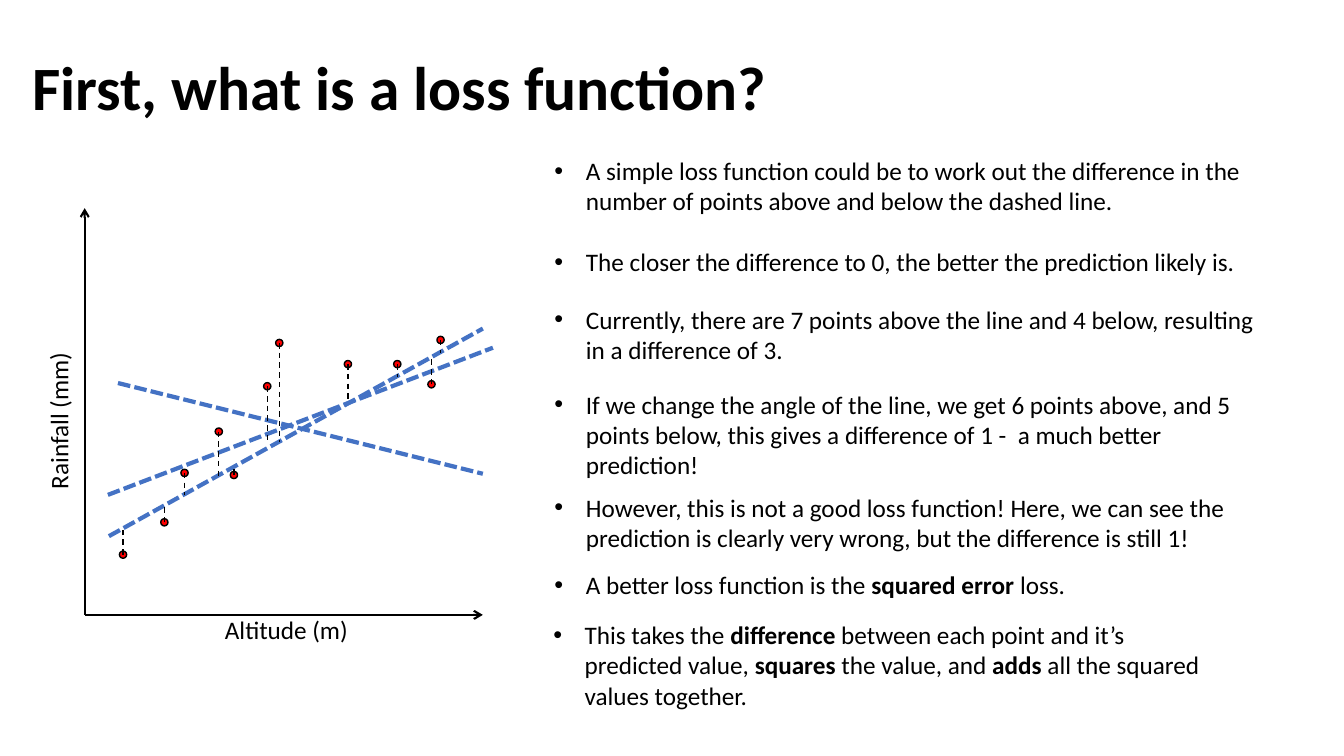
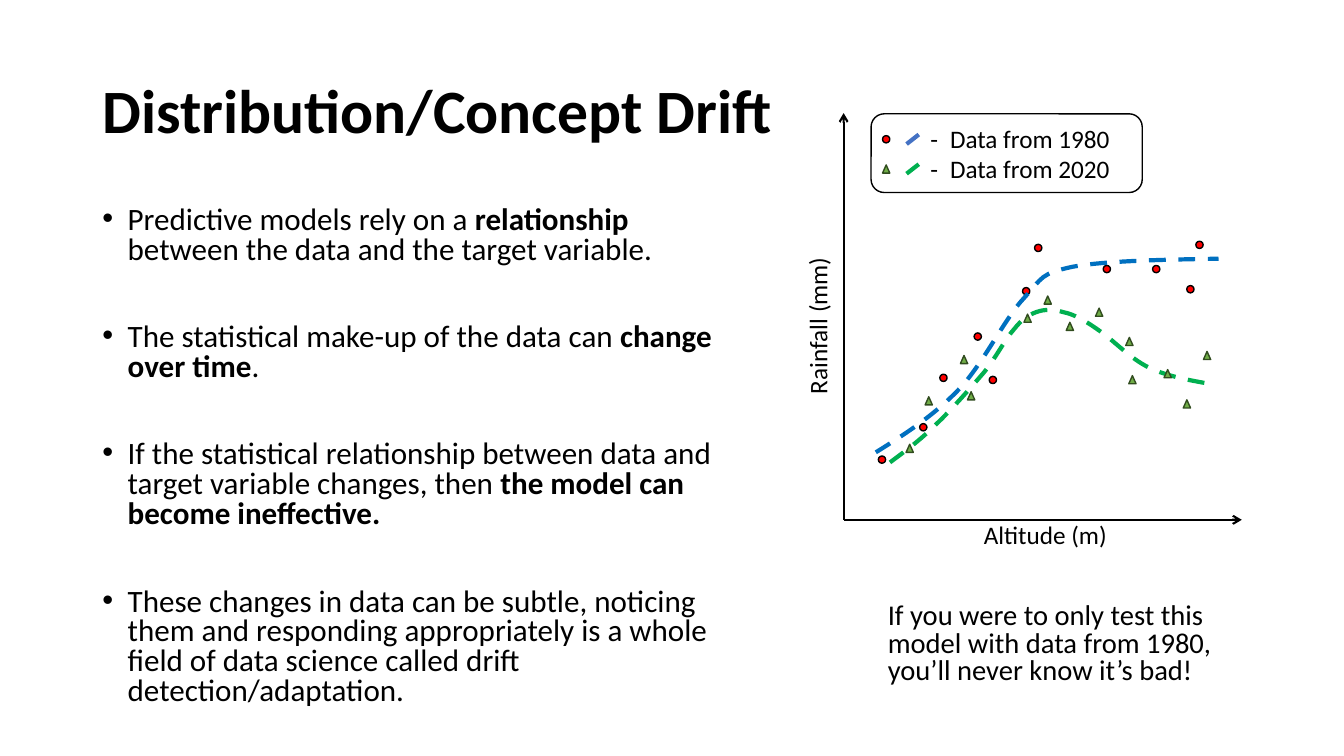
from dataclasses import dataclass

from pptx import Presentation
from pptx.dml.color import RGBColor
from pptx.enum.dml import MSO_LINE
from pptx.enum.shapes import MSO_CONNECTOR, MSO_SHAPE
from pptx.enum.text import MSO_ANCHOR, MSO_AUTO_SIZE, PP_ALIGN
from pptx.oxml.ns import qn
from pptx.util import Pt

LEFT, CENTER = PP_ALIGN.LEFT, PP_ALIGN.CENTER
MIDDLE, TOP = MSO_ANCHOR.MIDDLE, MSO_ANCHOR.TOP
FIXED, GROW = MSO_AUTO_SIZE.NONE, MSO_AUTO_SIZE.SHAPE_TO_FIT_TEXT
DASH, SHORT = MSO_LINE.DASH, MSO_LINE.SQUARE_DOT
STRAIGHT = MSO_CONNECTOR.STRAIGHT
OVAL, WEDGE = MSO_SHAPE.OVAL, MSO_SHAPE.ISOSCELES_TRIANGLE
ROUNDED = MSO_SHAPE.ROUNDED_RECTANGLE


@dataclass(frozen=True)
class Theme:
    """Colours, font and type sizes of the deck."""
    font: str = "Calibri"
    ink: str = "000000"
    red: str = "FF0000"
    blue: str = "4472C4"
    azure: str = "0070C0"
    green: str = "00B050"
    leaf: str = "70AD47"
    moss: str = "314C1F"
    title: float = 44
    list: float = 22.2
    note: float = 20.4
    text: float = 18


THEME = Theme()

DOTS = [(71.3, 101.4), (106.6, 99.9), (139, 194.2), (27.4, 43),
        (188, 179.1), (223.3, 179.1), (56.9, 66.1), (95.8, 130.9),
        (130.4, 163.3), (247.7, 164.7), (254.2, 196.4)]
FEET = [85.7, 105.1, 123.8, 61.9, 152.6, 169.9, 77.8, 97.9, 122.4, 182.9, 187.2]
FITS = [((17.3, 56.2), (284.4, 204.5)), ((16.6, 85.7), (291.6, 190.8)),
        ((23.8, 165.6), (284.4, 100.8))]
WEDGES = [(86, 114.5), (91.1, 88.6), (161.6, 138.2), (145.8, 157), (131.4, 144),
          (47.2, 51.1), (60.8, 85), (245.2, 82.8), (231.5, 104.4),
          (204.1, 127.4), (206.3, 100.1), (182.5, 148.3), (259.6, 117.4)]
OLD = [(23, 48.2), (43.9, 61.2), (64.1, 74.2), (82.1, 92.9),
       (99.4, 110.9), (115.2, 144), (128.9, 158.4),
       (142.6, 173.5), (140.4, 175.7), (163.4, 180.7),
       (187.2, 185), (227.5, 185.8), (267.8, 186.5)]
NEW = [(33.1, 41), (43.9, 49), (54.7, 56.9), (65.5, 67.7),
       (77, 78.5), (90.7, 94.3), (100.1, 105.1),
       (109.4, 116.6), (115.2, 128.9), (121.7, 136.1),
       (127.4, 143.3), (131.8, 146.2), (137.5, 148.3),
       (143.3, 150.5), (149.8, 150.5), (157, 148.3),
       (164.2, 146.9), (172.1, 142.6), (182.2, 135.4),
       (192.2, 128.9), (204.5, 115.2), (218.2, 108.7),
       (231.8, 102.2), (248.4, 99.4), (265, 96.5)]

LOSS = [
    "A simple loss function could be to work out the difference in the number of "
    "points above and below the dashed line.",
    "The closer the difference to 0, the better the prediction likely is.",
    "Currently, there are 7 points above the line and 4 below, resulting in a "
    "difference of 3.",
    "If we change the angle of the line, we get 6 points above, and 5 points below, "
    "this gives a difference of 1 -  a much better prediction!",
    "However, this is not a good loss function! Here, we can see the prediction is "
    "clearly very wrong, but the difference is still 1!",
    "A better loss function is the *squared error *loss.",
]
SQUARE = ["This takes the *difference* between each point and it’s predicted value, "
          "*squares* the value, and *adds* all the squared values together."]
DRIFT = [
    "Predictive models rely on a *relationship* between the data and the target "
    "variable.",
    "The statistical make-up of the data can *change over time*.",
    "If the statistical relationship between data and target variable changes, then "
    "*the model can become ineffective.*",
    "These changes in data can be subtle, noticing them and responding appropriately "
    "is a whole field of data science called drift detection/adaptation.",
]
NOTE = ("If you were to only test this model with data from 1980, "
        "you’ll never know it’s bad!")


def color(code):
    """Turn a hex code into a colour."""
    return RGBColor.from_string(code)


def place(shape, box):
    """Move a shape to a box given in points."""
    shape.left, shape.top, shape.width, shape.height = map(Pt, box)


def style(para, size, bold=False):
    """Give every run of a paragraph the deck's type."""
    for run in para.runs:
        font = run.font
        font.name, font.size, font.bold = THEME.font, Pt(size), bold
        font.color.rgb = color(THEME.ink)


def hang(para, left, first):
    """Set the left margin and first-line indent of a paragraph."""
    props = para._p.get_or_add_pPr()
    props.set("marL", str(Pt(left)))
    props.set("indent", str(Pt(first)))


def stroke(line, code, width, dash=None):
    """Set the colour, width and dash of a line."""
    line.color.rgb = color(code)
    line.width = Pt(width)
    if dash:
        line.dash_style = dash


def head(slide, text, box):
    """Fill the title placeholder."""
    shape = slide.shapes.title
    place(shape, box)
    frame = shape.text_frame
    frame.text = text
    frame.vertical_anchor, frame.auto_size = MIDDLE, FIXED
    para = frame.paragraphs[0]
    para.alignment, para.line_spacing = LEFT, 0.9
    style(para, THEME.title, True)


def bullets(shape, box, lines, size, indent, gaps, pitch=1.0):
    """Fill a body placeholder; text between stars is bold."""
    place(shape, box)
    frame = shape.text_frame
    frame.vertical_anchor, frame.auto_size = TOP, FIXED
    for i, (line, gap) in enumerate(zip(lines, gaps)):
        para = frame.add_paragraph() if i else frame.paragraphs[0]
        hang(para, indent, -indent)
        para.line_spacing, para.space_before = pitch, Pt(gap)
        para.space_after = Pt(0)
        parts = line.split("*")
        for part in filter(None, parts):
            para.add_run().text = part
        style(para, size)
        bold = [n % 2 == 1 for n, part in enumerate(parts) if part]
        for run, flag in zip(para.runs, bold):
            run.font.bold = flag


def label(shapes, box, text, size, turn=0, wrap=False, pitch=1.0):
    """Add a text box with one paragraph."""
    shape = shapes.add_textbox(*map(Pt, box))
    shape.rotation = turn
    frame = shape.text_frame
    frame.text = text
    frame.word_wrap, frame.auto_size = wrap, FIXED if wrap else GROW
    para = frame.paragraphs[0]
    para.line_spacing = pitch
    style(para, size)
    return shape


def bend(shape):
    """Turn each three segments of a freeform into one cubic curve."""
    route = next(shape._element.iter(qn("a:path")))
    sides = route.findall(qn("a:lnTo"))
    for i in range(0, len(sides), 3):
        arc = route.makeelement(qn("a:cubicBezTo"), {})
        sides[i].addprevious(arc)
        for side in sides[i:i + 3]:
            arc.append(side[0])
            route.remove(side)


class Plot:
    """Rainfall plot in a box, measured up and right from its corner."""

    def __init__(self, shapes, box):
        """Draw axes and their labels."""
        self.shapes = shapes
        self.left, top, wide, high = box
        self.base = top + high
        for end in ((wide, 0), (0, high)):
            self.line((0, 0), end, THEME.ink, 1.5, arrow=True)
        self.name("Altitude (m)", (144.1, -10.3), 103.7)
        self.name("Rainfall (mm)", (-18.7, 138.6), 113, 270)

    def spot(self, point):
        """Turn a plot point into slide lengths."""
        return Pt(self.left + point[0]), Pt(self.base - point[1])

    def name(self, text, mid, wide, turn=0):
        """Label an axis around a middle point."""
        high = 28.8
        box = (self.left + mid[0] - wide / 2, self.base - mid[1] - high / 2, wide, high)
        shape = label(self.shapes, box, text, THEME.text, turn)
        shape.text_frame.paragraphs[0].alignment = CENTER

    def line(self, start, end, code, width, dash=None, arrow=False):
        """Draw a straight line between two plot points."""
        link = self.shapes.add_connector(STRAIGHT, *self.spot(start), *self.spot(end))
        stroke(link.line, code, width, dash)
        if arrow:
            edge = link.line._get_or_add_ln()
            edge.append(edge.makeelement(qn("a:tailEnd"), {"type": "arrow"}))
        props = link._element.spPr
        props.append(props.makeelement(qn("a:effectLst"), {}))

    def mark(self, kind, point, fill, edge):
        """Draw a small data mark."""
        wide, high = 5.2, 5.2 if kind == OVAL else 5.8
        x, y = self.spot(point)
        shape = self.shapes.add_shape(
            kind, x - Pt(wide / 2), y - Pt(high / 2), Pt(wide), Pt(high))
        shape.shadow.inherit = False
        shape.fill.solid()
        shape.fill.fore_color.rgb = color(fill)
        stroke(shape.line, edge, 1)

    def dot(self, point):
        """Mark a reading from 1980."""
        self.mark(OVAL, point, THEME.red, THEME.ink)

    def wedge(self, point):
        """Mark a reading from 2020."""
        self.mark(WEDGE, point, THEME.leaf, THEME.moss)

    def curve(self, knots, code):
        """Draw a dashed curve."""
        first, *rest = map(self.spot, knots)
        pen = self.shapes.build_freeform(*first, scale=1.0)
        pen.add_line_segments(rest, close=False)
        shape = pen.convert_to_shape()
        bend(shape)
        shape.shadow.inherit = False
        shape.fill.background()
        stroke(shape.line, code, 3, DASH)

    def legend(self):
        """Draw the key to both years."""
        shape = self.shapes.add_shape(
            ROUNDED, *self.spot((19.6, 290)), Pt(193.7), Pt(56.2))
        shape.shadow.inherit = False
        shape.fill.background()
        stroke(shape.line, THEME.ink, 1)
        frame = shape.text_frame
        frame.text = "-\tData from 1980\n-\tData from 2020"
        frame.vertical_anchor = MIDDLE
        for para in frame.paragraphs:
            para.alignment = LEFT
            hang(para, 46.6, -14)
            style(para, THEME.text)
        rows = ((self.dot, THEME.blue), (self.wedge, THEME.green))
        for i, (draw, code) in enumerate(rows):
            y = 271.8 - 21.2 * i
            draw((30.4, y))
            self.line((45, y - 3.4), (53.7, y + 3.4), code, 3)


def loss(deck):
    """Build the loss function slide."""
    slide = deck.slides.add_slide(deck.slide_layouts[3])
    head(slide, "First, what is a loss function?", (15.8, 12.2, 828, 104.4))
    plot = Plot(slide.shapes, (60.5, 148.7, 284.4, 290.5))
    for point in DOTS:
        plot.dot(point)
    for start, end in FITS:
        plot.line(start, end, THEME.blue, 3, SHORT)
    for (x, y), foot in zip(DOTS, FEET):
        plot.line((x, y), (x, foot), THEME.ink, 1, DASH)
    main, last = list(slide.placeholders)[1:]
    bullets(main, (388.8, 107.3, 516.2, 326), LOSS, THEME.text, 22.5,
            (0, 22, 19.4, 17.5, 8.9, 12.1))
    bullets(last, (388.1, 438.9, 481.7, 72.7), SQUARE, THEME.text, 22.3, (0,))


def drift(deck):
    """Build the concept drift slide."""
    slide = deck.slides.add_slide(deck.slide_layouts[1])
    head(slide, "Distribution/Concept Drift", (66, 28.8, 828, 104.4))
    bullets(slide.placeholders[1], (66, 144, 450.7, 381.6), DRIFT, THEME.list, 18,
            (0, 41.1, 41.1, 41.1), 0.8)
    plot = Plot(slide.shapes, (602.6, 80.8, 284.4, 290.5))
    plot.curve(NEW, THEME.green)
    for point in DOTS:
        plot.dot(point)
    plot.curve(OLD, THEME.azure)
    plot.legend()
    for point in WEDGES:
        plot.wedge(point)
    label(slide.shapes, (627.1, 427.7, 252, 68.4), NOTE, THEME.note, wrap=True, pitch=0.8)


def main():
    """Build and save the deck."""
    deck = Presentation()
    deck.slide_width, deck.slide_height = Pt(960), Pt(540)
    loss(deck)
    drift(deck)
    deck.save("out.pptx")


if __name__ == "__main__":
    main()
